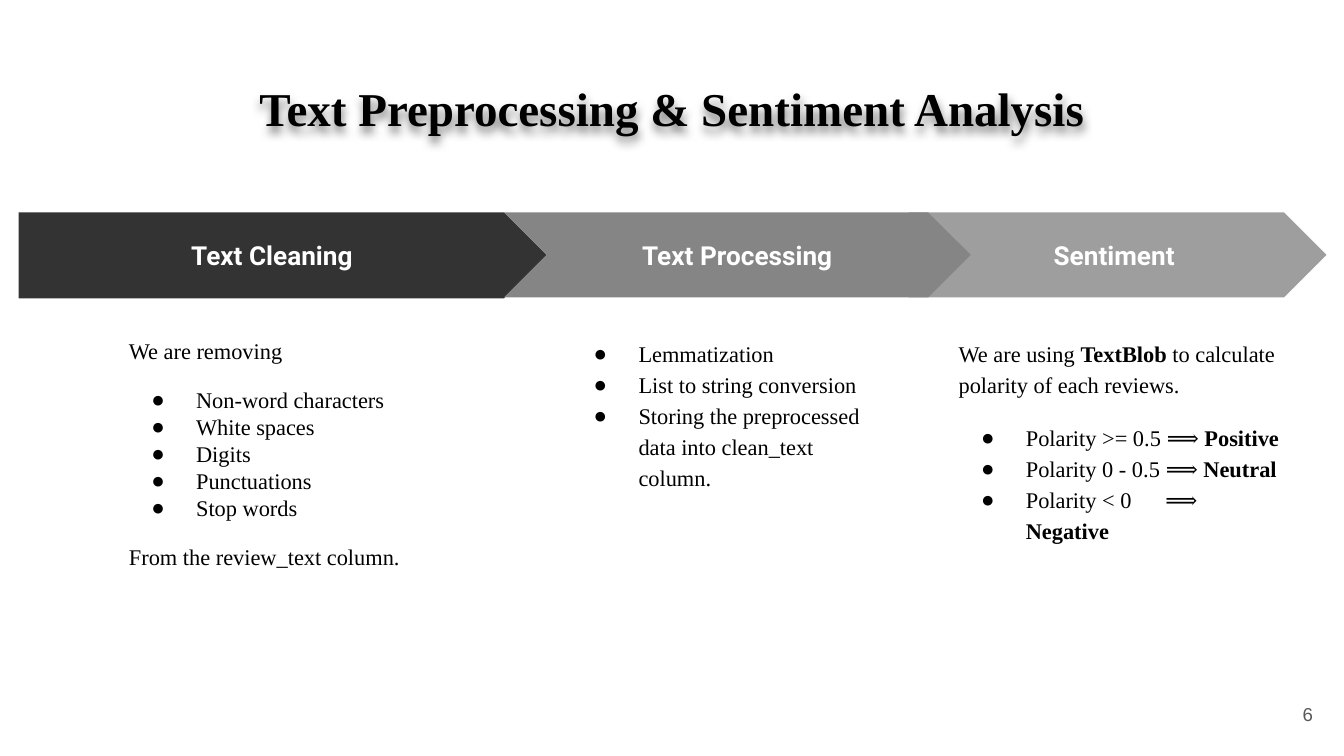
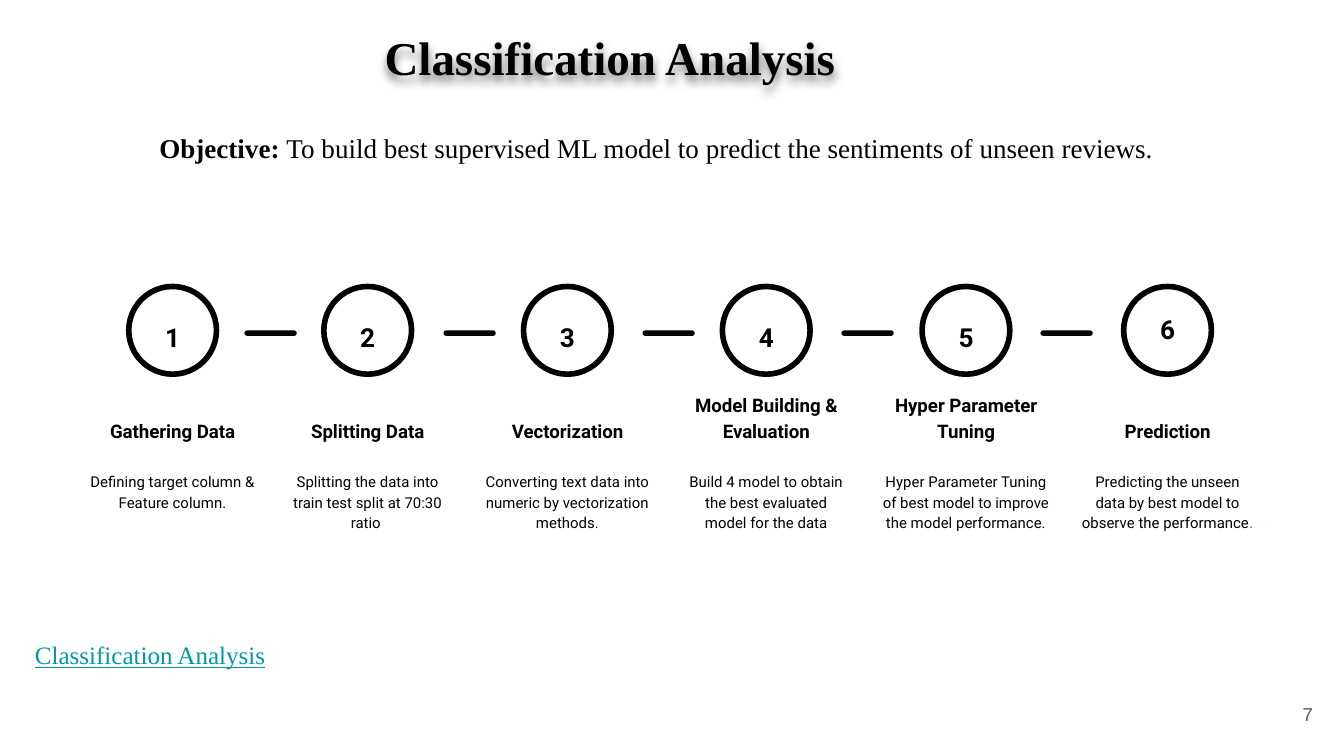
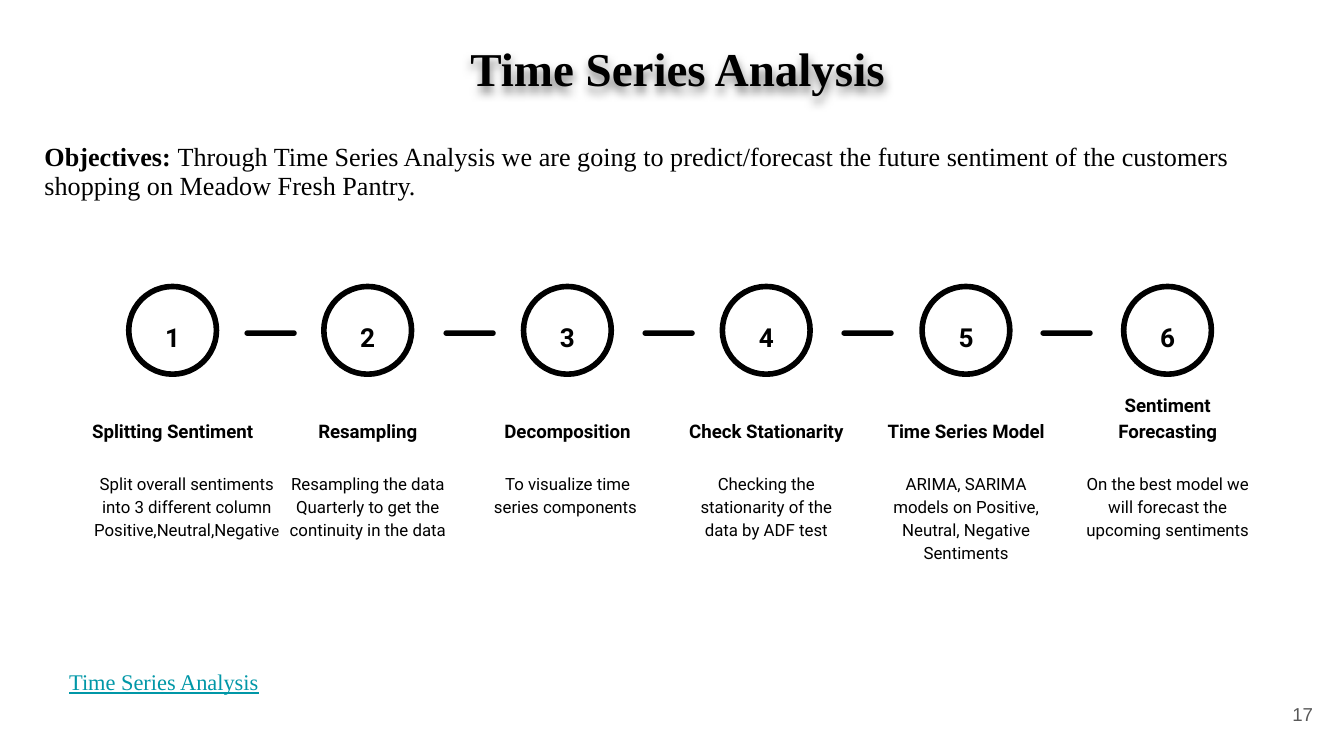
from dataclasses import dataclass

from lxml import etree
from pptx import Presentation
from pptx.dml.color import RGBColor
from pptx.enum.shapes import MSO_SHAPE
from pptx.enum.text import MSO_ANCHOR, MSO_AUTO_SIZE, PP_ALIGN
from pptx.oxml.ns import qn
from pptx.util import Pt

LEFT, MID, RIGHT = PP_ALIGN.LEFT, PP_ALIGN.CENTER, PP_ALIGN.RIGHT
TOP, CENTER, BOTTOM = MSO_ANCHOR.TOP, MSO_ANCHOR.MIDDLE, MSO_ANCHOR.BOTTOM
FIXED = MSO_AUTO_SIZE.NONE
PLATE, ARROW = MSO_SHAPE.PENTAGON, MSO_SHAPE.CHEVRON
RING, PILL = MSO_SHAPE.OVAL, MSO_SHAPE.ROUNDED_RECTANGLE


@dataclass(frozen=True)
class Theme:
    serif: str = "Times New Roman"
    sans: str = "Roboto"
    plain: str = "Arial"
    ink: str = "000000"
    white: str = "FFFFFF"
    grey: str = "595959"
    link: str = "0097A7"
    rust: str = "A72A1E"
    dark: str = "333333"
    medium: str = "858585"
    light: str = "9E9E9E"
    title: float = 25.2
    lead: float = 14.5
    goal: float = 14
    head: float = 14
    text: float = 12
    label: float = 10
    note: float = 9
    small: float = 8
    pad: float = 7.2


T = Theme()
WIDE, HIGH = 720, 405
COLUMNS = [(92.5, 103), (197, 103), (304, 107),
           (410.5, 103), (517.5, 107), (625.5, 107)]


def place(shape, box):
    shape.left, shape.top, shape.width, shape.height = map(Pt, box)


def style(font, size=None, face=None, color=None, bold=None, under=None):
    if size:
        font.size = Pt(size)
    if face:
        font.name = face
    if color:
        font.color.rgb = RGBColor.from_string(color)
    if bold is not None:
        font.bold = bold
    if under:
        font.underline = True


def setup(frame, anchor=TOP, inset=T.pad):
    frame.word_wrap = True
    frame.auto_size = FIXED
    frame.vertical_anchor = anchor
    frame.margin_left = Pt(inset)
    frame.margin_top = frame.margin_right = frame.margin_bottom = Pt(T.pad)


def bullet(para, mark):
    props = para._p.get_or_add_pPr()
    props.set("marL", str(Pt(36) if mark else 0))
    props.set("indent", str(Pt(-24) if mark else 0))
    if not mark:
        etree.SubElement(props, qn("a:buNone"))
        return
    color = etree.SubElement(props, qn("a:buClr"))
    etree.SubElement(color, qn("a:srgbClr"), val=T.ink)
    etree.SubElement(props, qn("a:buFont"), typeface=T.serif)
    etree.SubElement(props, qn("a:buChar"), char="●")


def write(para, runs, align=LEFT, lines=1.0, before=0, after=0,
          mark=False, **look):
    para.alignment = align
    para.line_spacing = lines
    para.space_before, para.space_after = Pt(before), Pt(after)
    bullet(para, mark)
    style(para.font, **look)
    for part in [runs] if isinstance(runs, str) else runs:
        words, extra = (part, {}) if isinstance(part, str) else part
        run = para.add_run()
        run.text = words
        gap = extra.get("gap")
        if gap:
            run._r.get_or_add_rPr().set("spc", str(gap * 100))
        style(run.font, **{k: v for k, v in extra.items() if k != "gap"})


def label(slide, box, runs, anchor=TOP, **look):
    shape = slide.shapes.add_textbox(*map(Pt, box))
    setup(shape.text_frame, anchor)
    write(shape.text_frame.paragraphs[0], runs, **look)


def solid(slide, kind, box, fill=None, line=None):
    shape = slide.shapes.add_shape(kind, *map(Pt, box))
    shape.shadow.inherit = False
    if fill:
        shape.fill.solid()
        shape.fill.fore_color.rgb = RGBColor.from_string(fill)
    else:
        shape.fill.background()
    if line:
        shape.line.color.rgb = RGBColor.from_string(line)
        shape.line.width = Pt(3)
    else:
        shape.line.fill.background()
    return shape


def glow(shape):
    shape.fill.background()
    effects = etree.SubElement(shape._element.spPr, qn("a:effectLst"))
    shade = etree.SubElement(effects, qn("a:outerShdw"), blurRad=str(Pt(4.5)),
                             dist=str(Pt(3)), dir="5400000", algn="bl",
                             rotWithShape="0")
    color = etree.SubElement(shade, qn("a:srgbClr"), val=T.ink)
    etree.SubElement(color, qn("a:alpha"), val="50000")


def start(deck, layout, title, left, top, page, align=LEFT, inset=T.pad):
    slide = deck.slides.add_slide(deck.slide_layouts[layout])
    shape = slide.shapes.title
    place(shape, (left, top, 671, 45))
    glow(shape)
    setup(shape.text_frame, inset=inset)
    write(shape.text_frame.paragraphs[0], title, align, size=T.title,
          face=T.serif, color=T.ink, bold=True)
    label(slide, (667.5, 367, 43, 31), page, CENTER, align=RIGHT,
          size=T.label, face=T.plain, color=T.grey)
    return slide


def banner(slide, kind, box, words, fill):
    shape = solid(slide, kind, box, fill)
    setup(shape.text_frame, CENTER)
    write(shape.text_frame.paragraphs[0], words, MID, size=T.head,
          face=T.sans, color=T.white, bold=True)


def column(slide, box, rows, lines):
    shape = slide.shapes.add_textbox(*map(Pt, box))
    frame = shape.text_frame
    setup(frame)
    for i, (runs, form) in enumerate(rows):
        para = frame.add_paragraph() if i else frame.paragraphs[0]
        write(para, runs, lines=lines, size=T.text, face=T.serif,
              color=T.ink, **form)


def lead(slide, box, head, words, size, align, lines):
    body = slide.placeholders[1]
    place(body, box)
    setup(body.text_frame)
    write(body.text_frame.paragraphs[0],
          [(head, {"bold": True}), words], align, lines,
          size=size, face=T.serif, color=T.ink)
    return body.text_frame


def step(slide, mid, wide, num, head, note, size, room=None, lift=0):
    left = mid - wide / 2
    solid(slide, RING, (mid - 23.5, 153.5, 47, 47), line=T.ink)
    look = {"align": MID, "lines": 1.15, "face": T.sans, "color": T.ink}
    label(slide, (mid - 17.5, 162.7 - lift, 35, 25), str(num),
          size=T.head, bold=True, after=16, **look)
    label(slide, (left, 209, wide, 35), head, BOTTOM,
          size=T.label, bold=True, **look)
    label(slide, (left, 244.8, room or wide, 58), note,
          size=size, after=16, **look)


def flow(slide, steps, size, room=None, lift=0):
    last = len(steps)
    for num, ((mid, wide), (head, note)) in enumerate(zip(COLUMNS, steps), 1):
        step(slide, mid, wide, num, head, note, size,
             room if num == 1 else None, lift if num == last else 0)
    for i in range(last - 1):
        dash = solid(slide, PILL, (131 + 106.6 * i, 177, 28, 3), T.ink)
        dash.adjustments[0] = 0.5


def cleaning(deck):
    slide = start(deck, 5, "Text Preprocessing & Sentiment Analysis",
                  24.5, 35.3, "6", MID)
    strong, item = {"bold": True}, {"mark": True}
    first = {"mark": True, "before": 12}
    banner(slide, ARROW, (486.7, 113.8, 224, 45.5), "Sentiment ", T.light)
    banner(slide, PLATE, (10, 113.8, 283, 46), "Text Cleaning", T.dark)
    banner(slide, ARROW, (270, 113.8, 250, 45.5), "Text Processing", T.medium)
    names = ["White spaces", "Digits", "Punctuations", "Stop words"]
    column(slide, (62, 173.5, 204.5, 181), [
        ("We are removing", {}),
        ("Non-word characters", first),
        *[(name, item) for name in names],
        ("From the review_text column.", {"before": 12, "after": 12}),
    ], 1.0)
    tasks = ["Lemmatization", "List to string conversion",
             "Storing the preprocessed data into clean_text column."]
    column(slide, (299, 173, 183, 178), [(t, item) for t in tasks], 1.15)
    column(slide, (506.5, 173, 189, 178), [
        (["We are using ", ("TextBlob", strong),
          " to calculate polarity of each reviews."], {}),
        (["Polarity >= 0.5 ⟹ ", ("Positive", strong)], first),
        (["Polarity 0 - 0.5 ⟹ ", ("Neutral", strong)], item),
        (["Polarity < 0", (" ", {"gap": 15}), "⟹ ", ("Negative", strong)],
         item),
    ], 1.15)


def classes(deck):
    slide = start(deck, 1, "Classification Analysis", 16, 8, "7", inset=190)
    frame = lead(slide, (11.5, 62.6, 680, 331), "Objective: ",
                 "To build best supervised ML model to predict the "
                 "sentiments of unseen reviews.", T.lead, MID, 1.05)
    write(frame.add_paragraph(), "Classification Analysis", lines=1.05,
          before=254, after=12, size=13.4, face=T.serif, color=T.link,
          under=True)
    flow(slide, [
        ("Gathering Data", "Defining target column & Feature column."),
        ("Splitting Data",
         "Splitting the data into train test split at 70:30 ratio "),
        ("Vectorization",
         "Converting text data into numeric by vectorization methods."),
        ("Model Building & Evaluation",
         "Build 4 model to obtain the best evaluated model for the data"),
        ("Hyper Parameter Tuning", "Hyper Parameter Tuning of best model "
         "to improve the model performance."),
        ("Prediction", ["Predicting the unseen data by best model to "
                        "observe the performance", (".", {"color": T.rust})]),
    ], T.small, lift=4.3)


def series(deck):
    slide = start(deck, 1, "Time Series Analysis", 24.5, 13.7, "17",
                  inset=227.5)
    lead(slide, (16.6, 69, 671, 51), "Objectives: ",
         "Through Time Series Analysis we are going to predict/forecast the "
         "future sentiment of the customers shopping on Meadow Fresh Pantry.",
         T.goal, LEFT, 0.95)
    flow(slide, [
        ("Splitting Sentiment",
         ["Split overall sentiments into 3 different column "
          "Positive,Neutral,Negativ", ("e", {"size": T.small})]),
        ("Resampling",
         "Resampling the data Quarterly to get the continuity in the data"),
        ("Decomposition", "To visualize time series components "),
        ("Check Stationarity",
         "Checking the stationarity of the data by ADF test"),
        ("Time Series Model",
         "ARIMA, SARIMA models on Positive, Neutral, Negative Sentiments"),
        ("Sentiment Forecasting",
         "On the best model we will forecast the upcoming sentiments"),
    ], T.note, room=118)
    label(slide, (30, 348.5, 463, 29), "Time Series Analysis", lines=1.15,
          after=12, size=T.text, face=T.serif, color=T.link, under=True)


def main():
    deck = Presentation()
    deck.slide_width, deck.slide_height = Pt(WIDE), Pt(HIGH)
    cleaning(deck)
    classes(deck)
    series(deck)
    deck.save("out.pptx")


if __name__ == "__main__":
    main()
